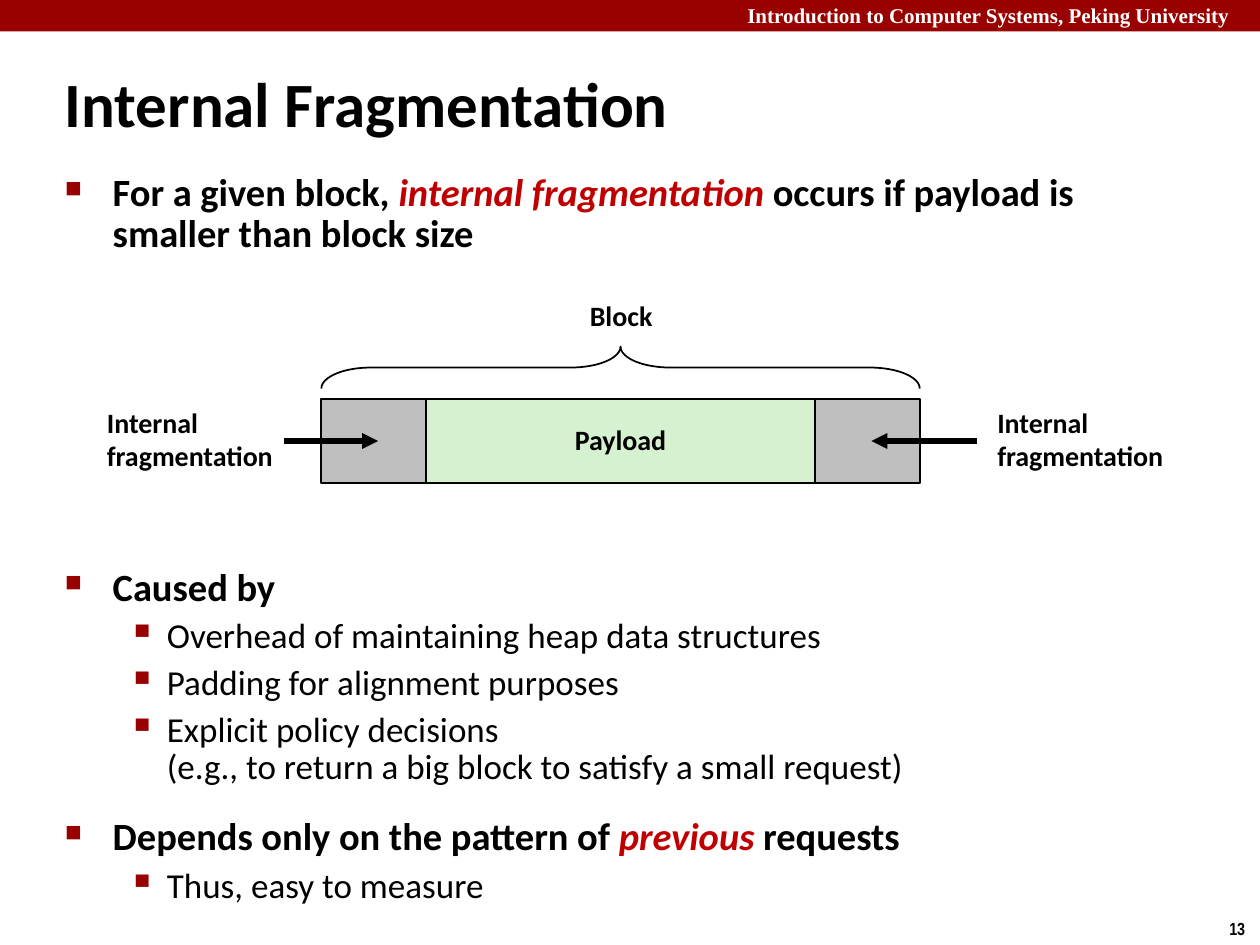
from lxml.etree import SubElement
from pptx import Presentation
from pptx.dml.color import RGBColor
from pptx.enum.shapes import MSO_CONNECTOR as Conn, MSO_SHAPE as Shape
from pptx.enum.text import MSO_ANCHOR as Anchor, PP_ALIGN as Align
from pptx.oxml.ns import qn
from pptx.util import Inches, Pt

BLACK = RGBColor(0x00, 0x00, 0x00)
WHITE = RGBColor(0xFF, 0xFF, 0xFF)
MAROON = RGBColor(0x99, 0x00, 0x00)
RED = RGBColor(0xC0, 0x00, 0x00)
GREEN = RGBColor(0xD5, 0xF1, 0xCF)
GRAY = RGBColor(0xBF, 0xBF, 0xBF)

COLS, ROWS = 120, 90

# Per outline level: bullet, bullet size %, left margin, hanging indent, size, bold
LEVELS = [("■", 60, 0.38, 0.38, 22, True),
          ("▪", 110, 0.81, 0.31, 20, False)]


class Deck:
    """Holds the style and the current slide; lengths are grid columns and rows."""

    def __init__(self):
        self.prs = Presentation()
        self.prs.slide_width, self.prs.slide_height = Inches(10), Inches(7.5)
        self.slide = self.prs.slides.add_slide(self.prs.slide_layouts[6])
        self.font = "Calibri"

    def grid(self, col, row, cols, rows):
        w, h = self.prs.slide_width / COLS, self.prs.slide_height / ROWS
        return [round(v) for v in (col * w, row * h, cols * w, rows * h)]

    def add_runs(self, p, text, size, bold=True, color=BLACK, font=None):
        """Add runs; parts between asterisks are emphasised."""
        for i, part in enumerate(text.split("*")):
            for j, line in enumerate(part.split("\n")):
                if j:
                    p.add_line_break()
                r = p.add_run()
                r.text = line
                f = r.font
                f.name, f.size, f.bold = font or self.font, Pt(size), bold
                f.italic = i % 2 == 1
                f.color.rgb = RED if f.italic else color

    def text(self, box, lines, size, wrap=False, spacing=None, **style):
        tf = self.slide.shapes.add_textbox(*self.grid(*box)).text_frame
        tf.word_wrap = wrap
        for i, line in enumerate(lines):
            p = tf.add_paragraph() if i else tf.paragraphs[0]
            p.line_spacing = spacing
            self.add_runs(p, line, size, **style)
        return tf

    def outline(self, box, items):
        tf = self.slide.shapes.add_textbox(*self.grid(*box)).text_frame
        tf.word_wrap = True
        for i, (level, before, text) in enumerate(items):
            char, percent, margin, hang, size, bold = LEVELS[level]
            p = tf.add_paragraph() if i else tf.paragraphs[0]
            p.level, p.line_spacing = level, 0.88
            p.space_before = Pt(before)
            pPr = p._p.get_or_add_pPr()
            pPr.set("marL", str(Inches(margin)))
            pPr.set("indent", str(-Inches(hang)))
            color = SubElement(pPr, qn("a:buClr"))
            SubElement(color, qn("a:srgbClr"), val=str(MAROON))
            SubElement(pPr, qn("a:buSzPct"), val=str(percent * 1000))
            SubElement(pPr, qn("a:buChar"), char=char)
            self.add_runs(p, text, size, bold)

    def shape(self, kind, box, fill=None, line=BLACK, text=None):
        sp = self.slide.shapes.add_shape(kind, *self.grid(*box))
        sp.shadow.inherit = False
        if fill is None:
            sp.fill.background()
        else:
            sp.fill.solid()
            sp.fill.fore_color.rgb = fill
        if line is None:
            sp.line.fill.background()
        else:
            sp.line.color.rgb, sp.line.width = line, Pt(1)
        if text:
            tf = sp.text_frame
            tf.vertical_anchor = Anchor.MIDDLE
            p = tf.paragraphs[0]
            p.alignment, p.line_spacing = Align.CENTER, 0.98
            self.add_runs(p, text, 16)
        return sp

    def arrow(self, start, end, row):
        x1, y, x2, _ = self.grid(start, row, end, 0)
        c = self.slide.shapes.add_connector(Conn.STRAIGHT, x1, y, x2, y)
        c.line.color.rgb, c.line.width = BLACK, Pt(3)
        spPr = c._element.spPr
        SubElement(spPr.find(qn("a:ln")), qn("a:tailEnd"), type="triangle")
        SubElement(spPr, qn("a:effectLst"))


def main():
    deck = Deck()

    # Header band, page number and title
    deck.shape(Shape.RECTANGLE, (0, 0, COLS, 3), MAROON, None)
    deck.text((70, -0.36, 50.9, 3.6),
              ["Introduction to Computer Systems, Peking University"],
              12, wrap=True, color=WHITE, font="Times New Roman")
    deck.text((115.9, 86.8, 4.1, 3.2), ["13"], 10, font="Arial Narrow")
    title = deck.text((5, 6, 88.3, 7.5), ["Internal Fragmentation"], 36, wrap=True)
    title.vertical_anchor = Anchor.MIDDLE

    # Definition above the diagram, causes below it
    deck.outline((5, 16, 109, 9), [
        (0, 0, "For a given block, *internal fragmentation *"
               "occurs if payload is smaller than block size")])
    deck.outline((5, 53.6, 109, 33.4), [
        (0, 0, "Caused by"),
        (1, 5.6, "Overhead of maintaining heap data structures"),
        (1, 5.6, "Padding for alignment purposes"),
        (1, 5.6, "Explicit policy decisions\n"
                 "(e.g., to return a big block to satisfy a small request)"),
        (0, 18, "Depends only on the pattern of *previous* requests"),
        (1, 5.6, "Thus, easy to measure")])

    # Block: payload between two unused ends
    left, top, end, payload, height = 30.6, 38, 10, 37, 8
    width = payload + 2 * end
    deck.shape(Shape.RECTANGLE, (left + end, top, payload, height), GREEN,
               text="Payload")
    for col in (left, left + end + payload):
        deck.shape(Shape.RECTANGLE, (col, top, end, height), GRAY)

    # Brace over the whole block, turned to point up
    depth, middle = 4, 35
    brace = deck.shape(Shape.RIGHT_BRACE, (left + (width - depth) / 2,
                                           middle - width / 2, depth, width))
    brace.rotation = 270
    brace.adjustments[0] = 1.188
    deck.text((55, 28, 8.4, 4.4), ["Block"], 16, spacing=0.98)

    # Labels and arrows to the unused ends
    for col, start, length in ((9, 27, 9), (93.8, 93, -10)):
        deck.text((col, 38.2, 18.4, 7.6), ["Internal", "fragmentation"], 16,
                  spacing=0.98)
        deck.arrow(start, start + length, 42)

    deck.prs.save("out.pptx")


if __name__ == "__main__":
    main()
